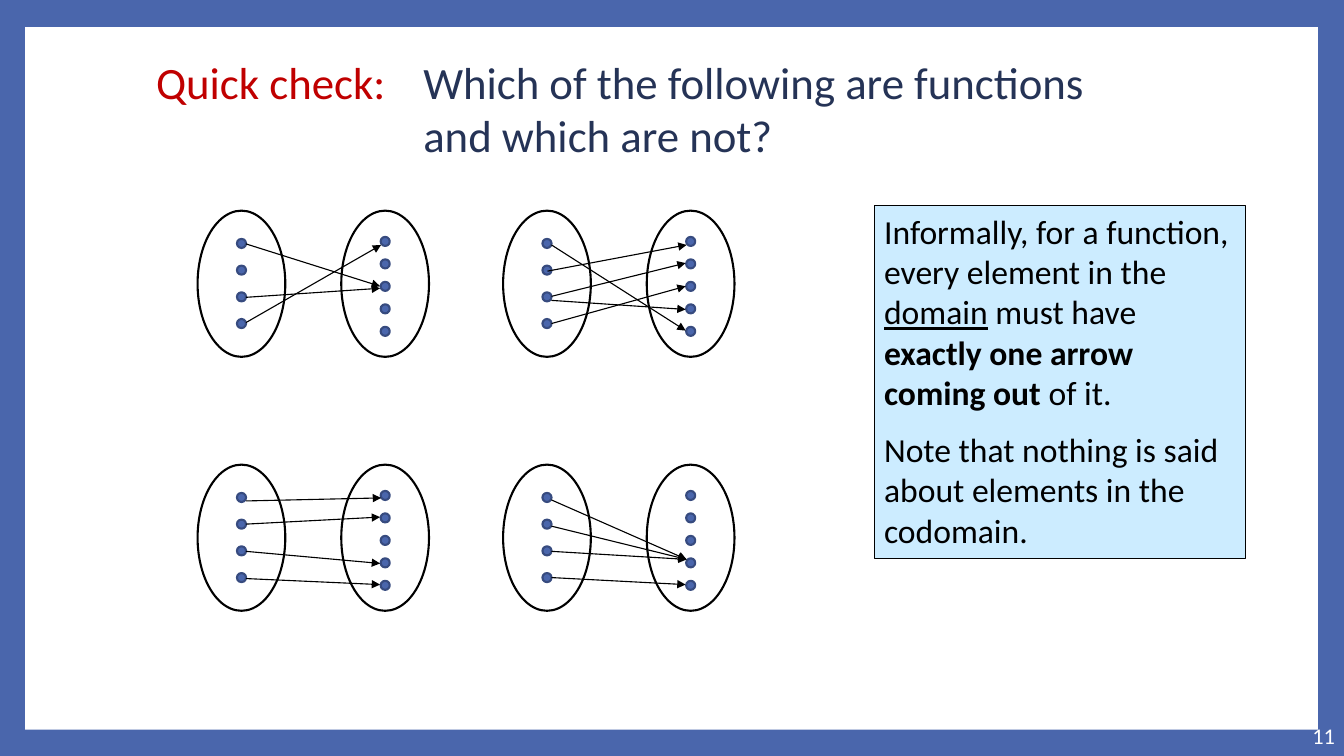
from dataclasses import dataclass
from typing import Any

from lxml import etree
from pptx import Presentation
from pptx.dml.color import RGBColor
from pptx.enum import shapes as kinds, text as txt
from pptx.oxml import ns
from pptx.util import Inches, Pt

HUES = {
    "blue": "4A66AC", "rim": "374B7F", "navy": "253356", "red": "C00000",
    "pale": "CCECFF", "white": "FFFFFF", "black": "000000",
}
OVAL = kinds.MSO_SHAPE.OVAL
RECT = kinds.MSO_SHAPE.RECTANGLE


@dataclass(frozen=True)
class Arrow:
    """Lengths in inches from the corner of the diagram."""
    start: float
    end: float
    tail: float = 0.48
    tip: float = 1.81


@dataclass(frozen=True)
class Side:
    left: float
    dots: int
    first: float
    step: float


@dataclass(frozen=True)
class Run:
    text: str
    form: dict[str, Any]


SIDES = (Side(0, 4, 0.28, 0.265), Side(1.425, 5, 0.26, 0.223))
OVAL_W, OVAL_H, DOT = 0.87, 1.45, 0.09
LEFT, TOP, COL_GAP, ROW_GAP = 1.96, 2.09, 3.03, 2.52

# Arrows of each diagram, row by row
MAPS = (
    (Arrow(0.33, 0.75), Arrow(0.86, 0.77), Arrow(1.11, 0.34, tip=1.82)),
    (Arrow(0.6, 0.34, 0.44, 1.82), Arrow(1.12, 0.75), Arrow(0.34, 1.19),
     Arrow(0.85, 0.52), Arrow(0.89, 0.98)),
    (Arrow(0.36, 0.33, tip=1.82), Arrow(0.59, 0.52), Arrow(0.86, 0.98),
     Arrow(1.13, 1.19)),
    (Arrow(0.35, 0.94, tip=1.82), Arrow(0.61, 0.94, tip=1.82),
     Arrow(0.86, 0.94, tip=1.82), Arrow(1.12, 1.19)),
)


def hue(name: str) -> RGBColor:
    return RGBColor.from_string(HUES[name])


def assign(item: Any, form: dict[str, Any]) -> None:
    for key, value in form.items():
        setattr(item, key, value)


def draw(home: Any, kind: Any, at: tuple[float, ...], fill: str = "",
         line: str = "", width: float = 1.5) -> Any:
    shape = home.add_shape(kind, *map(Inches, at))
    shape.shadow.inherit = False
    if fill:
        shape.fill.solid()
        shape.fill.fore_color.rgb = hue(fill)
    else:
        shape.fill.background()
    if line:
        shape.line.color.rgb = hue(line)
        shape.line.width = Pt(width)
    else:
        shape.line.fill.background()
    return shape


def point(home: Any, x: float, y: float, arrow: Arrow) -> None:
    ends = (x + arrow.tail, y + arrow.start, x + arrow.tip, y + arrow.end)
    line = home.add_connector(kinds.MSO_CONNECTOR.STRAIGHT, *map(Inches, ends))
    line.line.color.rgb = hue("black")
    line.line.width = Pt(0.79)
    etree.SubElement(line.line._get_or_add_ln(), ns.qn("a:tailEnd"), type="triangle")
    etree.SubElement(line._element.spPr, ns.qn("a:effectLst"))


def diagram(home: Any, x: float, y: float, arrows: tuple[Arrow, ...]) -> None:
    for side in SIDES:
        left = x + side.left
        draw(home, OVAL, (left, y, OVAL_W, OVAL_H), line="black")
        for i in range(side.dots):
            spot = (left + (OVAL_W - DOT) / 2, y + side.first + i * side.step)
            draw(home, OVAL, (*spot, DOT, DOT), "blue", "rim")
    for arrow in arrows:
        point(home, x, y, arrow)


def write(para: Any, runs: tuple[Run, ...], size: float, color: str) -> None:
    for part in runs:
        run = para.add_run()
        run.text = part.text
        run.font.color.rgb = hue(color)
        assign(run.font, {"name": "Calibri", "size": Pt(size)})
        assign(run.font, part.form)


def label(slide: Any, at: tuple[float, ...]) -> Any:
    frame = slide.shapes.add_textbox(*map(Inches, at)).text_frame
    frame.word_wrap = True
    return frame


def main() -> None:
    deck = Presentation()
    assign(deck, {"slide_width": Inches(13.33), "slide_height": Inches(7.5)})
    slide = deck.slides.add_slide(deck.slide_layouts[6])

    # Frame and page number
    slide.background.fill.solid()
    slide.background.fill.fore_color.rgb = hue("blue")
    draw(slide.shapes, RECT, (0.25, 0.27, 12.82, 6.97), "white")
    page = label(slide, (11.47, 7.1, 1.87, 0.4))
    page.vertical_anchor = txt.MSO_ANCHOR.MIDDLE
    page.paragraphs[0].alignment = txt.PP_ALIGN.RIGHT
    write(page.paragraphs[0], (Run("11", {}),), 16, "white")

    # Title with a hanging indent
    title = label(slide, (1.45, 0.49, 10.1, 1.18)).paragraphs[0]
    props = title._p.get_or_add_pPr()
    hang = Inches(2.65)
    props.set("marL", str(hang))
    props.set("indent", str(-hang))
    tabs = etree.SubElement(props, ns.qn("a:tabLst"))
    etree.SubElement(tabs, ns.qn("a:tab"), pos=str(hang), algn="l")
    write(title, (Run("Quick check:\t", {}),), 32, "red")
    write(title, (Run("Which of the following are functions and which are not?", {}),),
          32, "navy")

    # Four diagrams in a two by two grid
    for i, arrows in enumerate(MAPS):
        row, col = divmod(i, 2)
        group = slide.shapes.add_group_shape()
        diagram(group.shapes, LEFT + col * COL_GAP, TOP + row * ROW_GAP, arrows)

    # Explanation
    note = draw(slide.shapes, RECT, (8.67, 2.04, 3.68, 3.5), "pale", "black", 0.75)
    frame = note.text_frame
    assign(frame, {"word_wrap": True, "vertical_anchor": txt.MSO_ANCHOR.TOP})
    rule = (
        Run("Informally, for a function, every element in the ", {}),
        Run("domain", {"underline": True}),
        Run(" must have ", {}),
        Run("exactly one arrow coming out ", {"bold": True}),
        Run("of it.", {}),
    )
    hint = (Run("Note that nothing is said about elements in the codomain.", {}),)
    paras = (frame.paragraphs[0], frame.add_paragraph())
    for para, runs, after in zip(paras, (rule, hint), (12, 6)):
        assign(para, {"alignment": txt.PP_ALIGN.LEFT, "space_after": Pt(after)})
        write(para, runs, 24, "black")

    deck.save("out.pptx")


if __name__ == "__main__":
    main()
